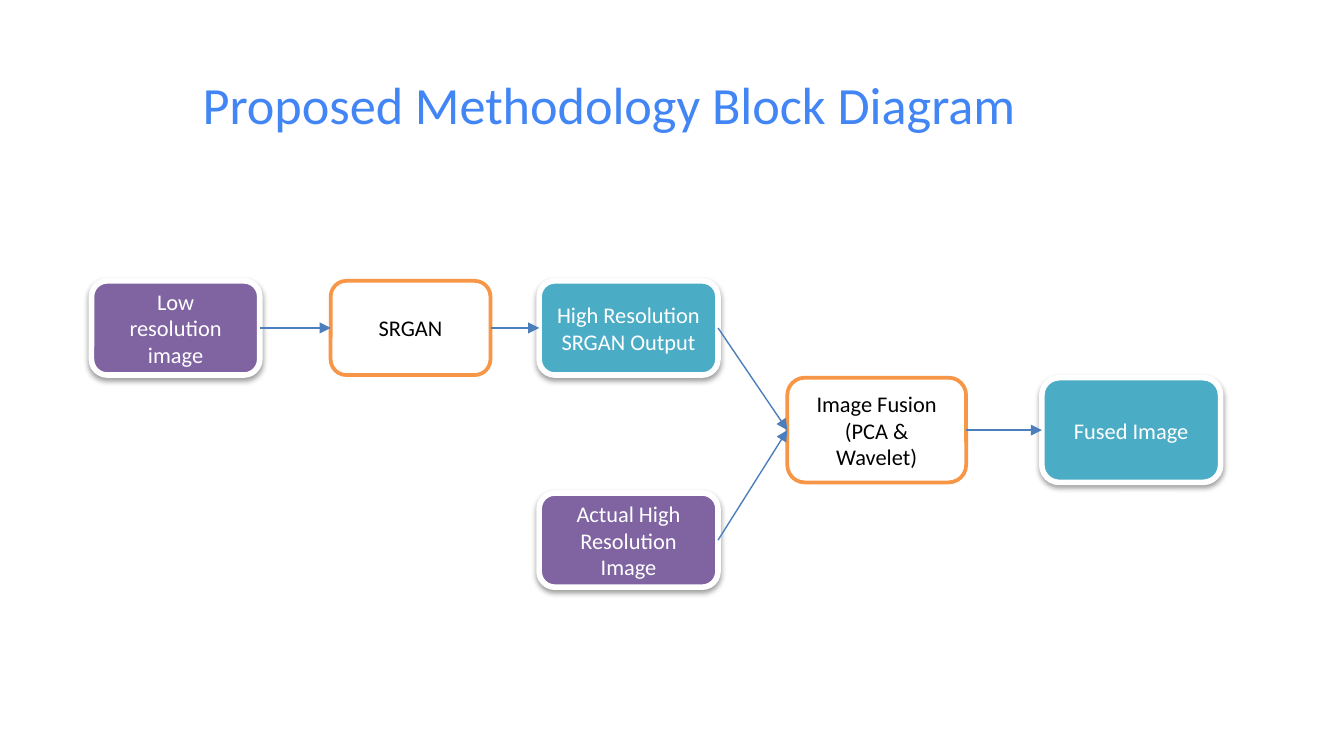
from dataclasses import dataclass

from lxml import etree
from pptx import Presentation, util as u
from pptx.dml.color import RGBColor
from pptx.enum import shapes, text
from pptx.oxml import parse_xml
from pptx.oxml.ns import nsdecls, qn


@dataclass(frozen=True)
class Theme:
    font: str = "Calibri"
    title_size: int = 28
    block_size: int = 12
    title: str = "4285F4"
    white: str = "FFFFFF"
    black: str = "000000"
    purple: str = "8064A2"
    teal: str = "4BACC6"
    orange: str = "F79646"
    arrow: str = "4B7EBC"


THEME = Theme()


@dataclass(frozen=True)
class Style:
    fill: str
    line: str
    line_width: float
    ink: str
    raised: bool


SOURCE = Style(THEME.purple, THEME.white, 3, THEME.white, True)
PROCESS = Style(THEME.white, THEME.orange, 2, THEME.black, False)
RESULT = Style(THEME.teal, THEME.white, 3, THEME.white, True)


@dataclass(frozen=True)
class Row:
    top: float
    height: float


UPPER = Row(5.31, 1.78)
MIDDLE = Row(7.14, 1.98)
LOWER = Row(9.32, 1.78)


@dataclass(frozen=True)
class Block:
    label: str
    left: float
    width: float
    row: Row
    style: Style


BLOCKS = {
    "low": Block("Low resolution image", 1.73, 3.18, UPPER, SOURCE),
    "actual": Block("Actual High Resolution Image", 10.19, 3.38, LOWER, SOURCE),
    "srgan": Block("SRGAN", 6.25, 3.02, UPPER, PROCESS),
    "fusion": Block("Image Fusion (PCA & Wavelet)", 14.88, 3.38, MIDDLE, PROCESS),
    "output": Block("High Resolution SRGAN Output", 10.19, 3.38, UPPER, RESULT),
    "fused": Block("Fused Image", 19.69, 3.38, MIDDLE, RESULT),
}
FLOWS = [("low", "srgan"), ("srgan", "output"), ("output", "fusion"),
         ("actual", "fusion"), ("fusion", "fused")]
LEFT_SIDE, RIGHT_SIDE = 1, 3


def write_text(box, words: str, *, size: int, color: str, align, anchor) -> None:
    frame = box.text_frame
    frame.word_wrap = True
    frame.auto_size = text.MSO_AUTO_SIZE.NONE
    frame.vertical_anchor = anchor
    frame.margin_left = frame.margin_right = u.Cm(0.25)
    frame.margin_top = frame.margin_bottom = u.Cm(0.13)
    para = frame.paragraphs[0]
    para.alignment = align
    span = para.add_run()
    span.text = words
    span.font.name = THEME.font
    span.font.size = u.Pt(size)
    span.font.color.rgb = RGBColor.from_string(color)


def add_shadow(shape) -> None:
    """Put a soft shadow just below a shape whose effect list is empty."""
    shape._element.spPr.find(qn("a:effectLst")).append(parse_xml(
        f'<a:outerShdw {nsdecls("a")} blurRad="{u.Pt(3.1)}" dist="{u.Pt(1.6)}" '
        f'dir="5400000" rotWithShape="0"><a:srgbClr val="{THEME.black}">'
        '<a:alpha val="38000"/></a:srgbClr></a:outerShdw>'))


def add_block(page, block: Block):
    style = block.style
    box = page.shapes.add_shape(
        shapes.MSO_SHAPE.ROUNDED_RECTANGLE, u.Cm(block.left), u.Cm(block.row.top),
        u.Cm(block.width), u.Cm(block.row.height))
    box.fill.solid()
    box.fill.fore_color.rgb = RGBColor.from_string(style.fill)
    box.line.color.rgb = RGBColor.from_string(style.line)
    box.line.width = u.Pt(style.line_width)
    box.shadow.inherit = False
    if style.raised:
        add_shadow(box)
    write_text(box, block.label, size=THEME.block_size, color=style.ink,
               align=text.PP_ALIGN.CENTER, anchor=text.MSO_ANCHOR.MIDDLE)
    return box


def add_arrow(page, start, end) -> None:
    arrow = page.shapes.add_connector(shapes.MSO_CONNECTOR.STRAIGHT, 0, 0, 0, 0)
    arrow.begin_connect(start, RIGHT_SIDE)
    arrow.end_connect(end, LEFT_SIDE)
    arrow.line.color.rgb = RGBColor.from_string(THEME.arrow)
    arrow.line.width = u.Pt(0.75)
    etree.SubElement(arrow.line._get_or_add_ln(), qn("a:tailEnd"), type="triangle")
    etree.SubElement(arrow._element.spPr, qn("a:effectLst"))


def add_title(page, words: str) -> None:
    title = page.shapes.title
    title.left, title.top = u.Cm(3.58), u.Cm(1.24)
    title.width, title.height = u.Cm(16.1), u.Cm(1.45)
    write_text(title, words, size=THEME.title_size, color=THEME.title,
               align=text.PP_ALIGN.LEFT, anchor=text.MSO_ANCHOR.TOP)


def main() -> None:
    deck = Presentation()
    deck.slide_width, deck.slide_height = u.Cm(25.4), u.Cm(14.29)
    page = deck.slides.add_slide(deck.slide_layouts.get_by_name("Title Only"))
    add_title(page, "Proposed Methodology Block Diagram")
    boxes = {name: add_block(page, block) for name, block in BLOCKS.items()}
    for start, end in FLOWS:
        add_arrow(page, boxes[start], boxes[end])
    deck.save("out.pptx")


if __name__ == "__main__":
    main()
